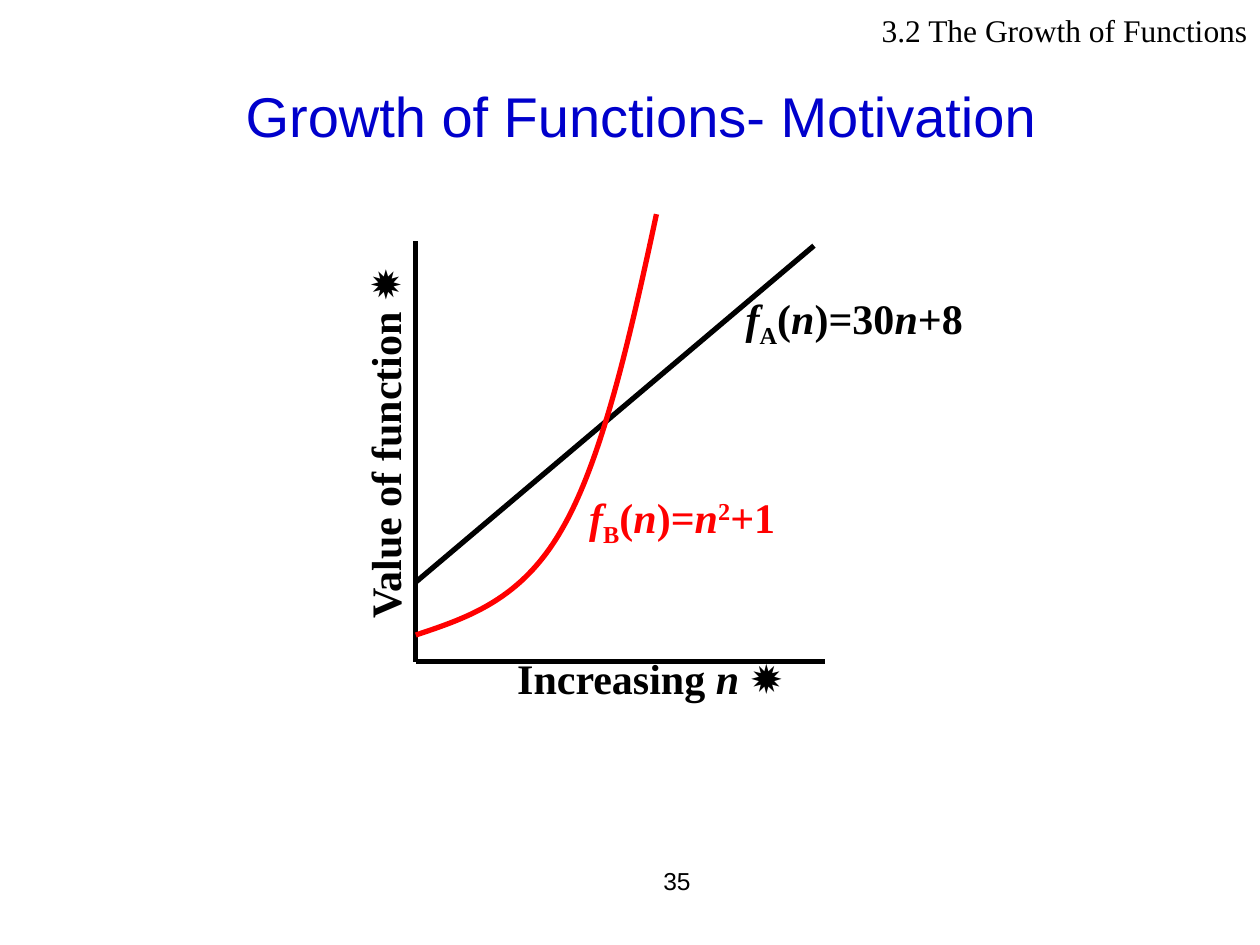
from dataclasses import dataclass

import lxml.etree
import pptx
import pptx.dml.color
import pptx.enum.shapes
import pptx.enum.text
import pptx.oxml.ns
import pptx.slide
import pptx.util

Inches = pptx.util.Inches
Align = pptx.enum.text.PP_ALIGN
Anchor = pptx.enum.text.MSO_ANCHOR
qn = pptx.oxml.ns.qn

BLACK = pptx.dml.color.RGBColor(0x00, 0x00, 0x00)
BLUE = pptx.dml.color.RGBColor(0x00, 0x00, 0xCC)
RED = pptx.dml.color.RGBColor(0xFF, 0x00, 0x00)

SANS = "Arial"
SERIF = "Times New Roman"
LINE_WIDTH = pptx.util.Pt(3)
SUBSCRIPT, SUPERSCRIPT = -25000, 30000
ORIGIN = (3.3, 5.25)


@dataclass(frozen=True)
class Run:
    text: str
    italic: bool = False
    baseline: int = 0


@dataclass(frozen=True)
class Label:
    box: tuple[float, float, float, float]
    runs: tuple[Run, ...]
    size: int = 24
    font: str = SERIF
    color: pptx.dml.color.RGBColor = BLACK
    bold: bool = True
    align: Align = Align.CENTER
    anchor: Anchor = Anchor.MIDDLE
    wrap: bool = False
    rotation: float = 0


@dataclass(frozen=True)
class Line:
    start: tuple[float, float]
    end: tuple[float, float]


N = Run("n", italic=True)

# Page number, title and section header
PAGE_NUMBER = Label((3.5, 6.74, 2.08, 0.5), (Run("35"),), size=14, font=SANS,
                    bold=False, align=Align.RIGHT)
TITLE = Label((0.59, 0.6, 9, 1.25), (Run("Growth of Functions- Motivation"),),
              size=32, font=SANS, color=BLUE, bold=False,
              anchor=Anchor.TOP, wrap=True)
HEADER = Label((6, 0.04, 4, 0.4), (Run("3.2 The Growth of Functions"),),
               size=18, bold=False, align=Align.RIGHT,
               anchor=Anchor.TOP, wrap=True)

# Axes and the linear function
LINES = (
    Line(ORIGIN, (3.3, 1.91)),
    Line(ORIGIN, (6.55, 5.25)),
    Line((3.3, 4.62), (6.46, 1.95)),
)

# Quadratic function: a start point, then three points per Bézier segment
CURVE = (
    (3.3, 5.04),
    (3.72, 4.9), (4.14, 4.76), (4.46, 4.2),
    (4.78, 3.65), (5, 2.68), (5.21, 1.7),
)

# Function and axis labels
GRAPH_LABELS = (
    Label((5.8, 2.29, 1.96, 0.51),
          (Run("f", italic=True), Run("A", baseline=SUBSCRIPT), Run("("), N,
           Run(")=30"), N, Run("+8"))),
    Label((3.96, 5.12, 2.4, 0.51),
          (Run("Increasing "), Run("n ", italic=True), Run("✹"))),
    Label((4.55, 3.87, 1.73, 0.51),
          (Run("f", italic=True), Run("B", baseline=SUBSCRIPT), Run("("), N,
           Run(")="), N, Run("2", baseline=SUPERSCRIPT), Run("+1")),
          color=RED),
    Label((1.51, 3.27, 3.08, 0.5), (Run("Value of function ✹"),), rotation=270),
)


def add_label(slide: pptx.slide.Slide, label: Label) -> None:
    shape = slide.shapes.add_textbox(*map(Inches, label.box))
    shape.rotation = label.rotation
    frame = shape.text_frame
    frame.word_wrap = label.wrap
    frame.vertical_anchor = label.anchor
    paragraph = frame.paragraphs[0]
    paragraph.alignment = label.align
    for part in label.runs:
        run = paragraph.add_run()
        run.text = part.text
        formats = {
            "name": label.font,
            "size": pptx.util.Pt(label.size),
            "bold": label.bold,
            "italic": part.italic,
        }
        for name, value in formats.items():
            setattr(run.font, name, value)
        run.font.color.rgb = label.color
        if part.baseline:
            run.font._element.set("baseline", str(part.baseline))


def add_line(slide: pptx.slide.Slide, line: Line) -> None:
    connector = slide.shapes.add_connector(
        pptx.enum.shapes.MSO_CONNECTOR.STRAIGHT,
        *map(Inches, line.start + line.end))
    connector.line.color.rgb = BLACK
    connector.line.width = LINE_WIDTH
    lxml.etree.SubElement(connector._element.spPr, qn("a:effectLst"))


def add_curve(slide: pptx.slide.Slide,
              points: tuple[tuple[float, float], ...]) -> None:
    start, *rest = [(Inches(x), Inches(y)) for x, y in points]
    builder = slide.shapes.build_freeform(*start)
    builder.add_line_segments(rest, close=False)
    shape = builder.convert_to_shape()
    shape.shadow.inherit = False
    shape.fill.background()
    shape.line.color.rgb = RED
    shape.line.width = LINE_WIDTH

    # Turn every three straight segments into one Bézier segment
    segments = list(shape._element.iter(qn("a:lnTo")))
    for first in range(0, len(segments), 3):
        bezier = lxml.etree.Element(qn("a:cubicBezTo"))
        segments[first].addprevious(bezier)
        for segment in segments[first:first + 3]:
            bezier.append(segment[0])
            segment.getparent().remove(segment)


def main() -> None:
    presentation = pptx.Presentation()
    presentation.slide_width = Inches(10)
    presentation.slide_height = Inches(7.5)
    slide = presentation.slides.add_slide(presentation.slide_layouts[6])

    add_label(slide, PAGE_NUMBER)
    add_label(slide, TITLE)
    for line in LINES:
        add_line(slide, line)
    add_curve(slide, CURVE)
    for label in GRAPH_LABELS:
        add_label(slide, label)
    add_label(slide, HEADER)

    presentation.save("out.pptx")


if __name__ == "__main__":
    main()
